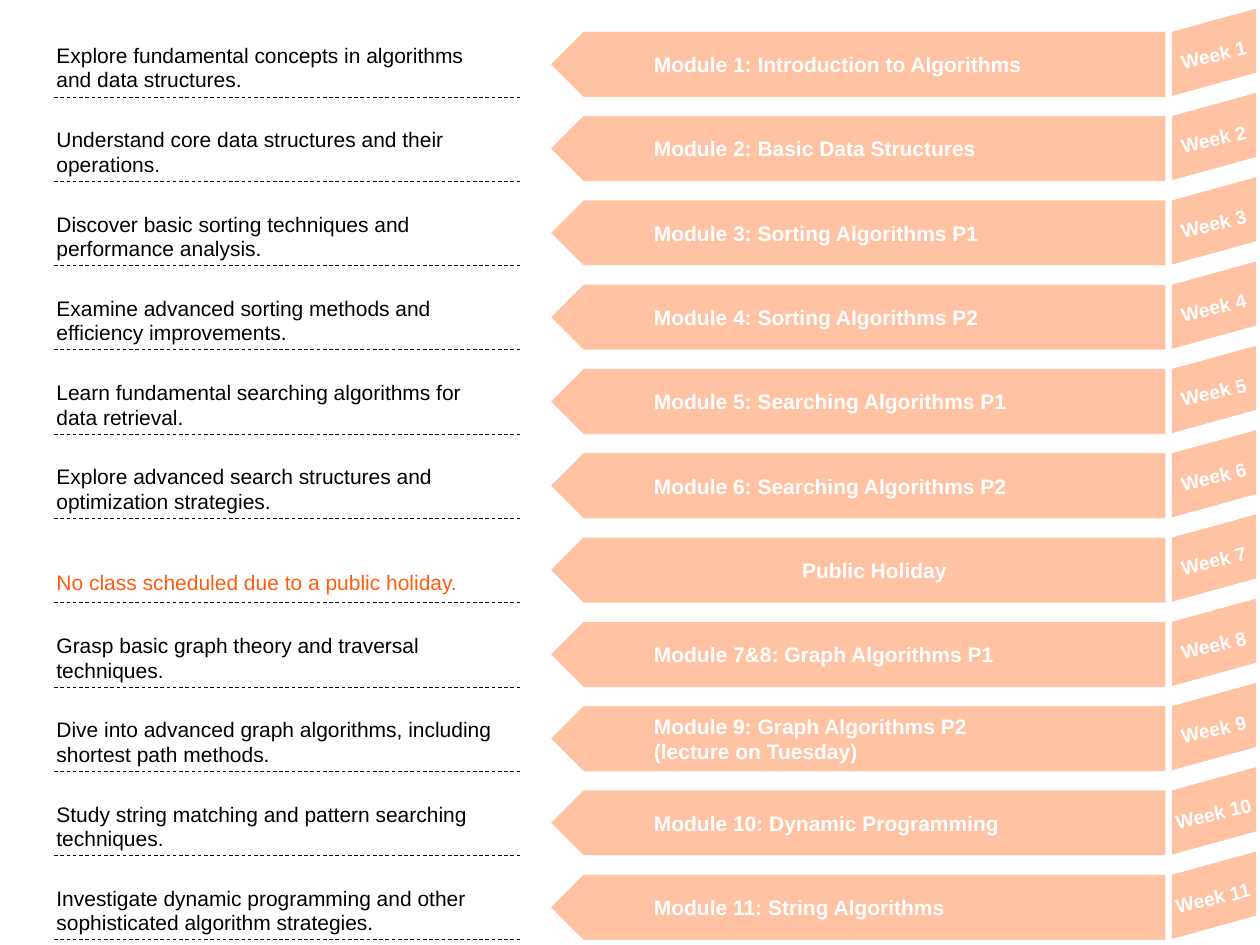
from dataclasses import dataclass
from lxml.etree import SubElement
from pptx import Presentation
from pptx.dml.color import RGBColor
from pptx.enum.dml import MSO_LINE
from pptx.enum.shapes import MSO_CONNECTOR, MSO_SHAPE
from pptx.enum.text import MSO_ANCHOR, PP_ALIGN
from pptx.oxml.ns import qn
from pptx.util import Inches, Pt

# Content: summary, module lines
WEEKS = [
    ("Explore fundamental concepts in algorithms and data structures.",
     ["Module 1: Introduction to Algorithms"]),
    ("Understand core data structures and their operations.",
     ["Module 2: Basic Data Structures"]),
    ("Discover basic sorting techniques and performance analysis.",
     ["Module 3: Sorting Algorithms P1"]),
    ("Examine advanced sorting methods and efficiency improvements.",
     ["Module 4: Sorting Algorithms P2"]),
    ("Learn fundamental searching algorithms for data retrieval.",
     ["Module 5: Searching Algorithms P1"]),
    ("Explore advanced search structures and optimization strategies.",
     ["Module 6: Searching Algorithms P2"]),
    ("No class scheduled due to a public holiday.",
     ["Public Holiday"]),
    ("Grasp basic graph theory and traversal techniques.",
     ["Module 7&8: Graph Algorithms P1"]),
    ("Dive into advanced graph algorithms, including shortest path methods.",
     ["Module 9: Graph Algorithms P2", "(lecture on Tuesday)"]),
    ("Study string matching and pattern searching techniques.",
     ["Module 10: Dynamic Programming"]),
    ("Investigate dynamic programming and other sophisticated algorithm strategies.",
     ["Module 11: String Algorithms"]),
]
HOLIDAY = 7


@dataclass(frozen=True)
class Theme:
    font: str = "Arial"
    peach: RGBColor = RGBColor(0xFF, 0xC2, 0xA3)
    orange: RGBColor = RGBColor(0xFF, 0x5D, 0x0D)
    white: RGBColor = RGBColor(0xFF, 0xFF, 0xFF)
    black: RGBColor = RGBColor(0, 0, 0)
    body: int = 12
    label: int = 11


THEME = Theme()

# Row grid in inches
TOP, LAST, HIGH = 0.25, 6.94, 0.52
STEP = (LAST - TOP) / (len(WEEKS) - 1)


def write(shape, lines, size, color, bold=False, align=PP_ALIGN.LEFT):
    frame = shape.text_frame
    frame.text = "\n".join(lines)
    for para in frame.paragraphs:
        para.alignment = align
        font = para.font
        font.name, font.size, font.bold = THEME.font, Pt(size), bold
        font.color.rgb = color
    return frame


def add_block(slide, kind, left, top, width, height):
    shape = slide.shapes.add_shape(
        kind, Inches(left), Inches(top), Inches(width), Inches(height))
    shape.shadow.inherit = False
    shape.fill.solid()
    shape.fill.fore_color.rgb = THEME.peach
    return shape


def add_box(slide, left, top, width, height):
    return slide.shapes.add_textbox(
        Inches(left), Inches(top), Inches(width), Inches(height))


def add_arrow(slide, top, lines, free):
    arrow = add_block(slide, MSO_SHAPE.LEFT_ARROW, 4.37, top, 4.88, HIGH)
    arrow.adjustments[0], arrow.adjustments[1] = 1, 0.5
    arrow.line.color.rgb = THEME.white
    arrow.line.width = Pt(0.25)
    align = PP_ALIGN.CENTER if free else PP_ALIGN.LEFT
    frame = write(arrow, lines, THEME.body, THEME.white, True, align)
    frame.vertical_anchor = MSO_ANCHOR.MIDDLE
    frame.margin_left = Inches(0.1 if free else 0.56)


def add_rule(slide, y):
    rule = slide.shapes.add_connector(
        MSO_CONNECTOR.STRAIGHT, Inches(0.43), Inches(y), Inches(4.13), Inches(y))
    rule.line.color.rgb = THEME.black
    rule.line.width = Pt(0.5)
    rule.line.dash_style = MSO_LINE.DASH
    SubElement(rule._element.spPr, qn("a:effectLst"))


def add_summary(slide, top, text, free):
    box = add_box(slide, 0.35, top + (0.22 if free else 0.05), 3.7, 0.25 if free else 0.43)
    color = THEME.orange if free else THEME.black
    frame = write(box, [text], THEME.body, color)
    frame.word_wrap = True
    frame.paragraphs[0].line_spacing = 0.97


def add_flag(slide, top, week):
    flag = add_block(slide, MSO_SHAPE.PARALLELOGRAM, 9.22, top - 0.08, 0.83, 0.49)
    flag.adjustments[0] = 0.277
    flag.rotation = 344.6
    flag.line.fill.background()
    width = 0.73 if week < 10 else 0.82
    box = add_box(slide, 9.64 - width / 2, top + 0.09, width, 0.22)
    box.rotation = 346.8
    frame = write(box, [f"Week {week}"], THEME.label, THEME.white, True)
    frame.word_wrap = False
    frame.margin_top, frame.margin_bottom = 0, Inches(0.04)


def main():
    deck = Presentation()
    deck.slide_width, deck.slide_height = Inches(10), Inches(7.5)
    slide = deck.slides.add_slide(deck.slide_layouts[6])

    # One row per week
    for week, (text, lines) in enumerate(WEEKS, 1):
        top = TOP + (week - 1) * STEP
        free = week == HOLIDAY
        add_arrow(slide, top, lines, free)
        add_rule(slide, top + HIGH)
        add_summary(slide, top, text, free)
        add_flag(slide, top, week)

    deck.save("out.pptx")


if __name__ == "__main__":
    main()
